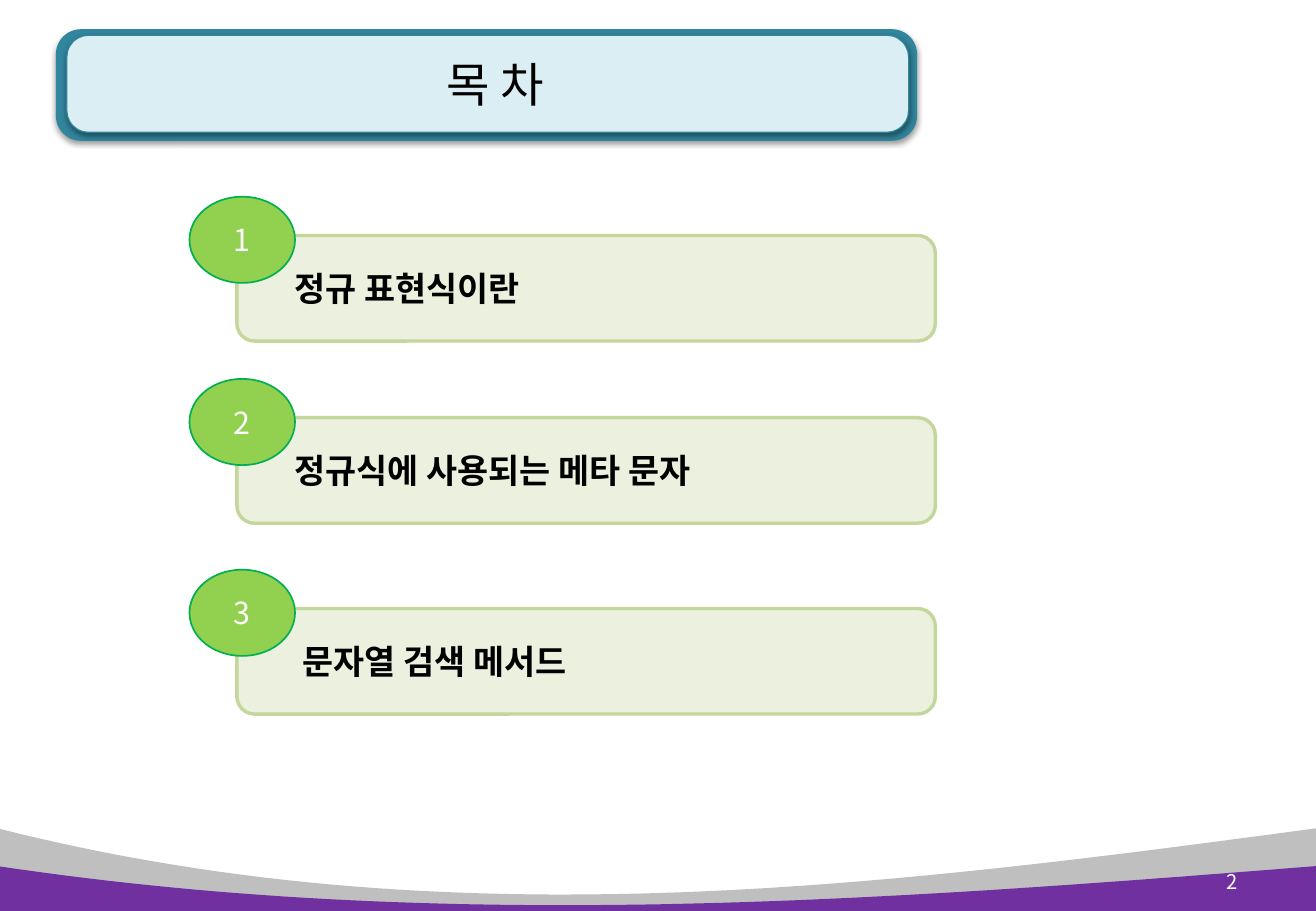
from dataclasses import dataclass

import pptx
import pptx.dml.color
import pptx.enum.shapes
import pptx.enum.text
import pptx.oxml
import pptx.oxml.ns
import pptx.util
from pptx.shapes.autoshape import Shape
from pptx.slide import Slide

Pt = pptx.util.Pt
RGBColor = pptx.dml.color.RGBColor
ALIGN = pptx.enum.text.PP_ALIGN
ANCHOR = pptx.enum.text.MSO_ANCHOR
SHAPE = pptx.enum.shapes.MSO_SHAPE
qn = pptx.oxml.ns.qn

FONT = "Noto Sans CJK KR"
BLACK = RGBColor(0x00, 0x00, 0x00)
WHITE = RGBColor(0xFF, 0xFF, 0xFF)
GRAY = RGBColor(0xBF, 0xBF, 0xBF)
PURPLE = RGBColor(0x70, 0x30, 0xA0)
TEAL = RGBColor(0x31, 0x85, 0x9C)
PALE_TEAL = RGBColor(0xDB, 0xEE, 0xF4)
PALE_GREEN = RGBColor(0xEB, 0xF1, 0xDE)
SOFT_GREEN = RGBColor(0xC3, 0xD6, 0x9B)
LIME = RGBColor(0x92, 0xD0, 0x50)
GREEN = RGBColor(0x00, 0xB0, 0x50)

WAVE_LEFT, WAVE_RIGHT = -1.5, 780
WAVE_STEPS = 60
BADGE_LEFT, BADGE_WIDTH, BADGE_HEIGHT = 112.3, 62.6, 51.1
BAR_LEFT, BAR_WIDTH, BAR_HEIGHT = 140.4, 414, 62.6
BAR_DROP = 23


@dataclass
class Wave:
    edge: float
    first_control: float
    second_control: float
    bottom: float
    color: RGBColor


@dataclass
class Panel:
    left: float
    top: float
    width: float
    height: float
    fill: RGBColor
    line: RGBColor | None = None
    line_width: float = 0
    kind: SHAPE = SHAPE.ROUNDED_RECTANGLE


@dataclass
class Topic:
    top: float
    text: str
    indent: float


WAVES = (
    Wave(491, 558, 526.3, 540, GRAY),
    Wave(513.4, 553, 534.2, 542.2, PURPLE),
)
BANNER = (
    Panel(33.1, 17.3, 510.5, 66.2, TEAL),
    Panel(39.6, 20.9, 499, 57.6, PALE_TEAL, TEAL, 0.75),
)
TOPICS = (
    Topic(116.6, "정규 표현식이란", 31),
    Topic(224.6, "정규식에 사용되는 메타 문자", 31),
    Topic(337.7, "문자열 검색 메서드", 36),
)


def bezier(points: tuple[float, ...], t: float) -> float:
    a, b, c, d = points
    u = 1 - t
    return u**3 * a + 3 * u**2 * t * b + 3 * u * t**2 * c + t**3 * d


def draw_wave(page: Slide, wave: Wave) -> None:
    across = (WAVE_LEFT, 262.8, 518.4, WAVE_RIGHT)
    down = (wave.edge, wave.first_control, wave.second_control, wave.edge)
    steps = [i / WAVE_STEPS for i in range(1, WAVE_STEPS + 1)]
    outline = [(bezier(across, t), bezier(down, t)) for t in steps]
    outline += [(WAVE_RIGHT, wave.bottom), (WAVE_LEFT, wave.bottom)]
    builder = page.shapes.build_freeform(Pt(WAVE_LEFT), Pt(wave.edge))
    builder.add_line_segments([(Pt(x), Pt(y)) for x, y in outline], close=True)
    shape = builder.convert_to_shape()
    shape.shadow.inherit = False
    shape.fill.solid()
    shape.fill.fore_color.rgb = wave.color
    shape.line.fill.background()


def draw_panel(page: Slide, panel: Panel) -> Shape:
    shape = page.shapes.add_shape(
        panel.kind, Pt(panel.left), Pt(panel.top), Pt(panel.width), Pt(panel.height)
    )
    shape.shadow.inherit = False
    shape.fill.solid()
    shape.fill.fore_color.rgb = panel.fill
    if panel.line is None:
        shape.line.fill.background()
    else:
        shape.line.color.rgb = panel.line
        shape.line.width = Pt(panel.line_width)
    return shape


def add_shadow(shape: Shape) -> None:
    effects = shape.element.spPr.find(qn("a:effectLst"))
    effects.append(pptx.oxml.parse_xml(
        f'<a:outerShdw {pptx.oxml.ns.nsdecls("a")} blurRad="{Pt(3.1)}" dist="{Pt(1.6)}" '
        'dir="5400000" algn="t" rotWithShape="0"><a:srgbClr val="000000">'
        '<a:alpha val="38000"/></a:srgbClr></a:outerShdw>'
    ))


def write(shape: Shape, text: str, size: float, color: RGBColor,
          align: ALIGN, bold: bool = False) -> None:
    frame = shape.text_frame
    frame.text = text
    frame.word_wrap = True
    frame.vertical_anchor = ANCHOR.MIDDLE
    para = frame.paragraphs[0]
    para.alignment = align
    span = para.runs[0]
    span.font.size = Pt(size)
    span.font.bold = bold
    span.font.color.rgb = color
    span.font.name = FONT
    east_asian = span.font._element.makeelement(qn("a:ea"), {"typeface": FONT})
    span.font._element.append(east_asian)


def draw_topic(page: Slide, number: int, topic: Topic) -> None:
    bar = draw_panel(page, Panel(BAR_LEFT, topic.top + BAR_DROP, BAR_WIDTH, BAR_HEIGHT,
                                 PALE_GREEN, SOFT_GREEN, 2))
    write(bar, topic.text, 20, BLACK, ALIGN.LEFT, bold=True)
    bar.text_frame.margin_left = Pt(topic.indent)
    badge = draw_panel(page, Panel(BADGE_LEFT, topic.top, BADGE_WIDTH, BADGE_HEIGHT,
                                   LIME, GREEN, 1, SHAPE.OVAL))
    write(badge, str(number), 18, WHITE, ALIGN.CENTER)


def place_title(page: Slide) -> None:
    """Format the title and bring it in front of the banner."""
    title = page.shapes.title
    title.left, title.top, title.width, title.height = Pt(49.7), Pt(15.8), Pt(488.2), Pt(67.7)
    write(title, "목 차", 28, BLACK, ALIGN.CENTER)
    title.element.getparent().append(title.element)


def add_page_number(page: Slide) -> None:
    """Write the number, then turn its run into a slide number field."""
    box = page.shapes.add_textbox(Pt(697), Pt(508.3), Pt(43.9), Pt(28.8))
    write(box, "2", 12, WHITE, ALIGN.RIGHT)
    span = box.text_frame.paragraphs[0].runs[0]._r
    span.tag = qn("a:fld")
    span.set("id", "{B6F15528-21DE-4FAA-801E-634DDDAF4B2B}")
    span.set("type", "slidenum")


def main() -> None:
    deck = pptx.Presentation()
    deck.slide_width, deck.slide_height = Pt(780), Pt(540)
    deck.element.set("firstSlideNum", "2")
    page = deck.slides.add_slide(deck.slide_layouts.get_by_name("Title Only"))
    draw_wave(page, WAVES[0])
    for panel in BANNER:
        shape = draw_panel(page, panel)
        shape.adjustments[0] = 0.225
        add_shadow(shape)
    draw_wave(page, WAVES[1])
    place_title(page)
    add_page_number(page)
    for number, topic in enumerate(TOPICS, start=1):
        draw_topic(page, number, topic)
    deck.save("out.pptx")


if __name__ == "__main__":
    main()
